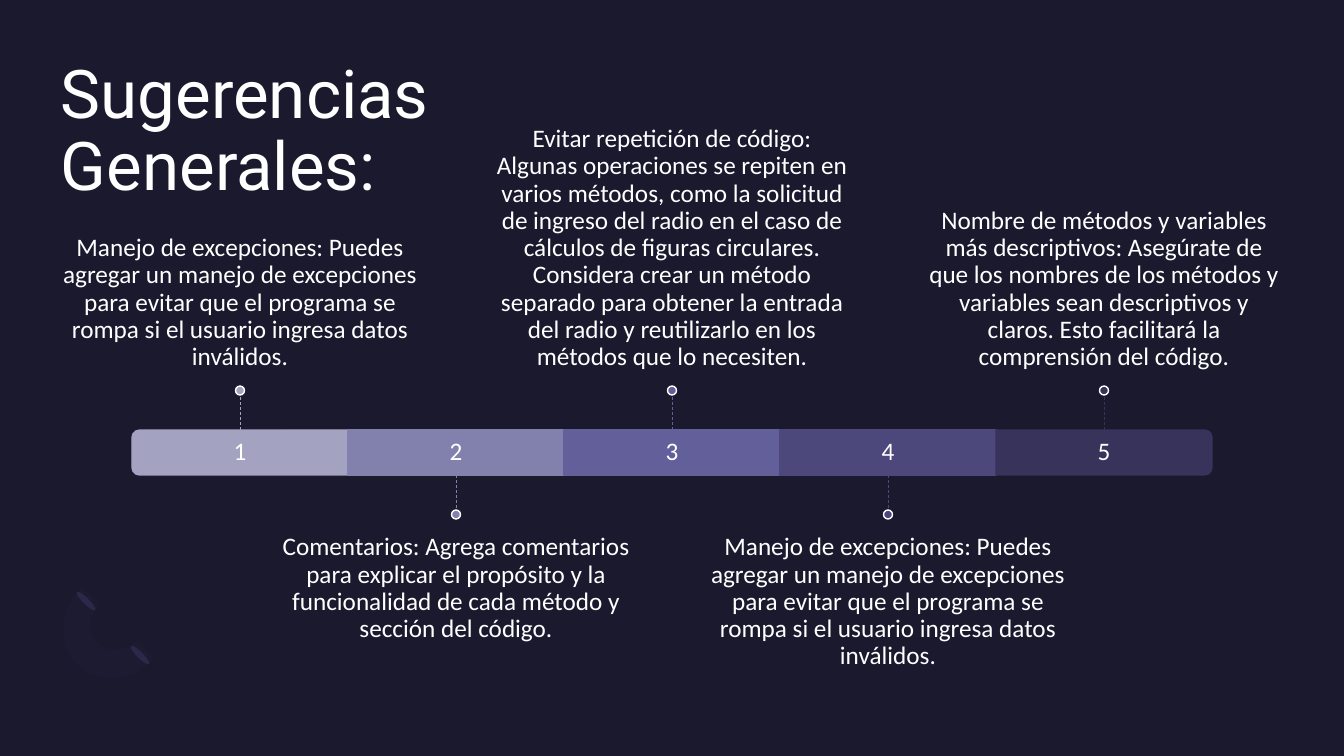
from lxml import etree
from pptx import Presentation
from pptx.dml.color import RGBColor
from pptx.enum.dml import MSO_LINE
from pptx.enum.shapes import MSO_CONNECTOR, MSO_SHAPE
from pptx.enum.text import MSO_ANCHOR, MSO_AUTO_SIZE, PP_ALIGN
from pptx.oxml.ns import qn
from pptx.util import Emu, Pt

SLIDE_W, SLIDE_H = 1344, 756
EMU_PER_PX = 12192000 / SLIDE_W

TOP, MIDDLE, BOTTOM = MSO_ANCHOR.TOP, MSO_ANCHOR.MIDDLE, MSO_ANCHOR.BOTTOM
LEFT, CENTER = PP_ALIGN.LEFT, PP_ALIGN.CENTER
RECT, CAP, OVAL = MSO_SHAPE.RECTANGLE, MSO_SHAPE.ROUND_2_SAME_RECTANGLE, MSO_SHAPE.OVAL
TOP_SITE, BOTTOM_SITE = 0, 2

NIGHT = RGBColor(0x1B, 0x19, 0x2E)
WHITE = RGBColor(0xFF, 0xFF, 0xFF)
RING_END = RGBColor(0x2C, 0x28, 0x4A)
RING_BODY = RGBColor(0x77, 0x71, 0xB2)

EXCEPTIONS = ("Manejo de excepciones: Puedes agregar un manejo de excepciones para evitar "
              "que el programa se rompa si el usuario ingresa datos inválidos.")
SUGGESTIONS = [
    (RGBColor(0xA3, 0xA3, 0xC1), EXCEPTIONS),
    (RGBColor(0x82, 0x81, 0xAE),
     "Comentarios: Agrega comentarios para explicar el propósito y la funcionalidad de "
     "cada método y sección del código."),
    (RGBColor(0x62, 0x5F, 0x9A),
     "Evitar repetición de código: Algunas operaciones se repiten en varios métodos, como "
     "la solicitud de ingreso del radio en el caso de cálculos de figuras circulares. "
     "Considera crear un método separado para obtener la entrada del radio y reutilizarlo "
     "en los métodos que lo necesiten."),
    (RGBColor(0x4C, 0x48, 0x7B), EXCEPTIONS),
    (RGBColor(0x37, 0x33, 0x5B),
     "Nombre de métodos y variables más descriptivos: Asegúrate de que los nombres de los "
     "métodos y variables sean descriptivos y claros. Esto facilitará la comprensión del "
     "código."),
]


def px(length):
    return Emu(round(length * EMU_PER_PX))


def box(*lengths):
    return [px(length) for length in lengths]


def paint(shape, fill, line=None):
    shape.shadow.inherit = False
    shape.fill.solid()
    shape.fill.fore_color.rgb = fill
    if line is None:
        shape.line.fill.background()
    else:
        shape.line.color.rgb = line
        shape.line.width = Pt(1)


def write(shape, lines, font, size, align, anchor, inset_top=0, inset_bottom=0):
    frame = shape.text_frame
    frame.word_wrap = True
    frame.auto_size = MSO_AUTO_SIZE.NONE
    frame.vertical_anchor = anchor
    frame.margin_left = frame.margin_right = 0
    frame.margin_top, frame.margin_bottom = px(inset_top), px(inset_bottom)
    paragraph = frame.paragraphs[0]
    paragraph.alignment = align
    paragraph.line_spacing = 0.9
    for number, line in enumerate(lines):
        if number:
            paragraph.add_line_break()
        run = paragraph.add_run()
        run.text = line
        run.font.name = font
        run.font.size = Pt(size)
        run.font.color.rgb = WHITE


def add_title(slide, left, top, width, height):
    title = slide.shapes.title
    title.left, title.top, title.width, title.height = box(left, top, width, height)
    write(title, ["Sugerencias", "Generales:"], "Roboto", 48, LEFT, TOP)


def curve(start, first, second, end, steps=12):
    """Points along a cubic curve, without its start."""
    for step in range(1, steps + 1):
        t = step / steps
        weights = ((1 - t) ** 3, 3 * t * (1 - t) ** 2, 3 * t * t * (1 - t), t ** 3)
        yield tuple(sum(w * p[axis] for w, p in zip(weights, (start, first, second, end)))
                    for axis in (0, 1))


def add_half_ring(slide, left, top):
    """Faint half ring with an ellipse on each of its cut ends."""
    outline = [(20, 77),
               *curve((20, 77), (0, 57), (2, 23), (25, 0)),
               (43, 18),
               *curve((43, 18), (31, 29), (30, 47), (40, 56)),
               *curve((40, 56), (51, 66), (68, 65), (80, 54)),
               (97, 72),
               *curve((97, 72), (75, 95), (40, 98), (20, 77))]
    points = [(px(left + x), px(top + y)) for x, y in outline]
    builder = slide.shapes.build_freeform(*points[0])
    builder.add_line_segments(points[1:], close=True)
    ring = builder.convert_to_shape()
    paint(ring, RING_BODY)
    color = ring.fill._xPr.find(qn("a:solidFill"))[0]
    etree.SubElement(color, qn("a:alpha"), val="3000")
    for x, y in ((26, 1), (80, 55)):
        end = slide.shapes.add_shape(OVAL, *box(left + x, top + y, 6, 26))
        end.rotation = 135
        paint(end, RING_END)


def add_segment(slide, center, top, width, height, number, color, turn):
    """One numbered part of the bar; a turn makes it a rounded end."""
    if turn:
        middle = top + height / 2
        frame = box(center - height / 2, middle - width / 2, height, width)
        segment = slide.shapes.add_shape(CAP, *frame)
        segment.rotation = turn
    else:
        segment = slide.shapes.add_shape(RECT, *box(center - width / 2, top, width, height))
    paint(segment, color, color)
    numeral = slide.shapes.add_textbox(*box(center - width / 2, top, width, height))
    write(numeral, [str(number)], "Calibri", 18, CENTER, MIDDLE)
    return segment


def add_callout(slide, center, bar_top, bar_bottom, above, text, color, segment):
    """Caption, dashed stem and dot; the stem joins the segment if one is given."""
    stem, dot, caption_w, caption_h = 35, 9, 360, 153
    if above:
        start, end = bar_top, bar_top - stem
        dot_top = end - dot
        caption_top = dot_top - caption_h
    else:
        start, end = bar_bottom, bar_bottom + stem
        dot_top = end
        caption_top = dot_top + dot
    caption = slide.shapes.add_textbox(
        *box(center - caption_w / 2, caption_top, caption_w, caption_h))
    write(caption, [text], "Calibri", 18, CENTER, BOTTOM if above else TOP,
          inset_top=0 if above else 15, inset_bottom=15 if above else 0)

    line = slide.shapes.add_connector(MSO_CONNECTOR.STRAIGHT, *box(center, start, center, end))
    line.line.color.rgb = color
    line.line.width = Pt(0.5)
    line.line.dash_style = MSO_LINE.DASH
    etree.SubElement(line._element.spPr, qn("a:effectLst"))
    if segment is not None:
        line.begin_connect(segment, TOP_SITE if above else BOTTOM_SITE)

    marker = slide.shapes.add_shape(OVAL, *box(center - dot / 2, dot_top, dot, dot))
    paint(marker, color, WHITE)


def add_timeline(slide, left, top, width, height):
    step = width / len(SUGGESTIONS)
    turns = {0: 270, len(SUGGESTIONS) - 1: 90}
    for index, (color, text) in enumerate(SUGGESTIONS):
        center = left + (index + 0.5) * step
        turn = turns.get(index)
        segment = add_segment(slide, center, top, step, height, index + 1, color, turn)
        add_callout(slide, center, top, top + height, index % 2 == 0, text, color,
                    None if turn else segment)


def main():
    deck = Presentation()
    deck.slide_width, deck.slide_height = box(SLIDE_W, SLIDE_H)
    slide = deck.slides.add_slide(deck.slide_layouts[5])
    slide.background.fill.solid()
    slide.background.fill.fore_color.rgb = NIGHT
    add_half_ring(slide, 57, 587)
    add_title(slide, 61, 60, 1223, 147)
    add_timeline(slide, 132, 430, 1080, 45)
    deck.save("out.pptx")


if __name__ == "__main__":
    main()
